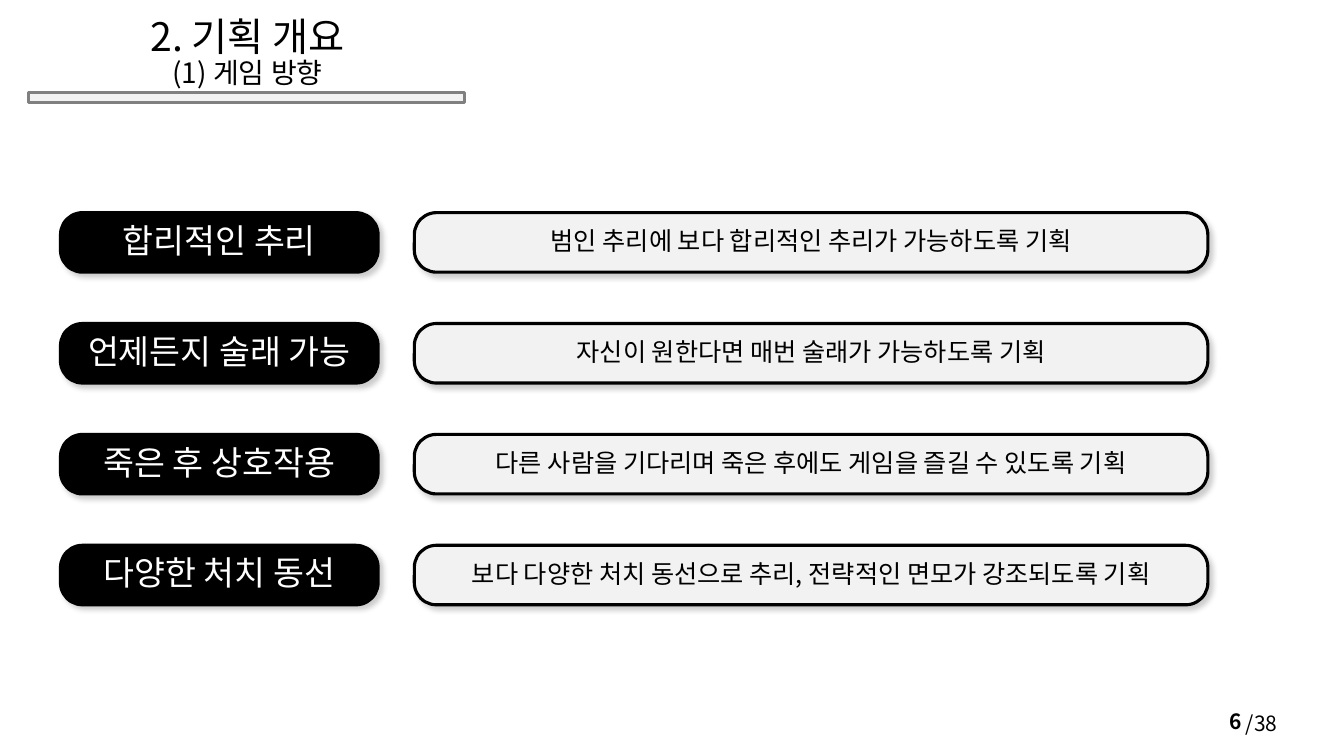
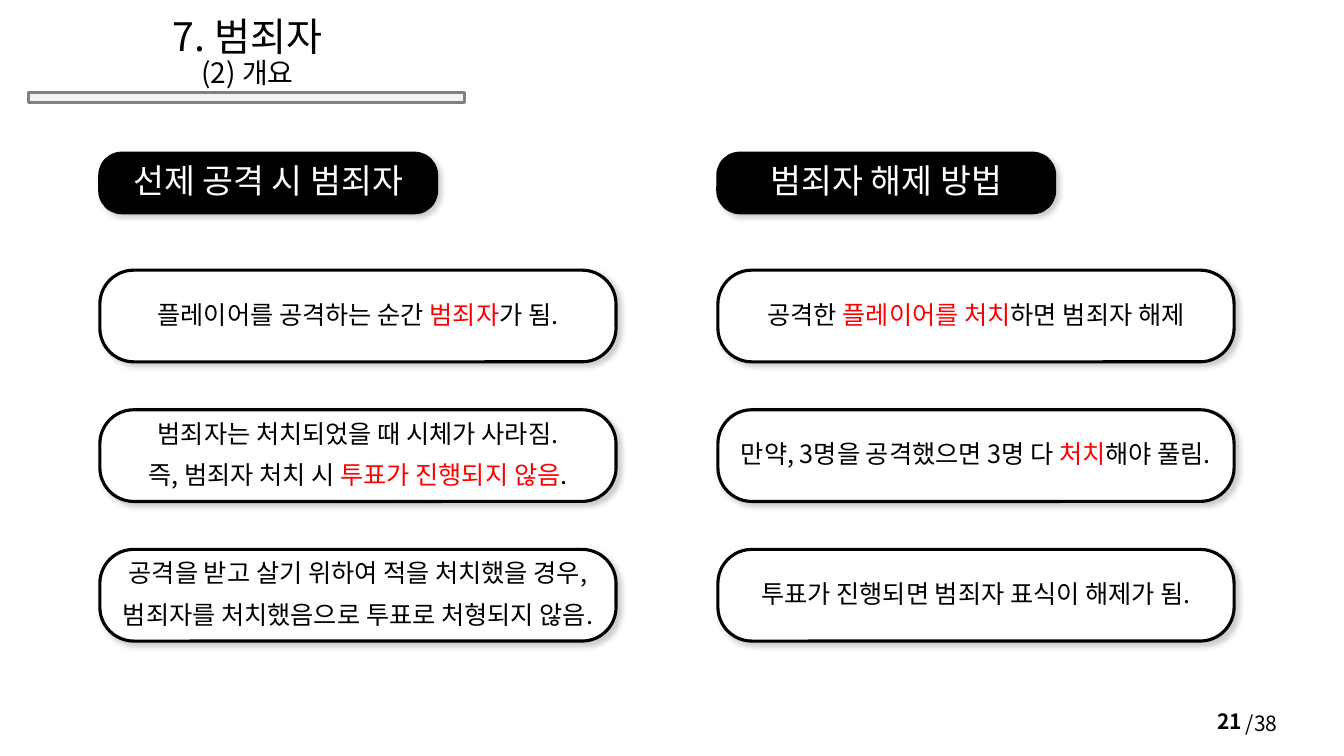
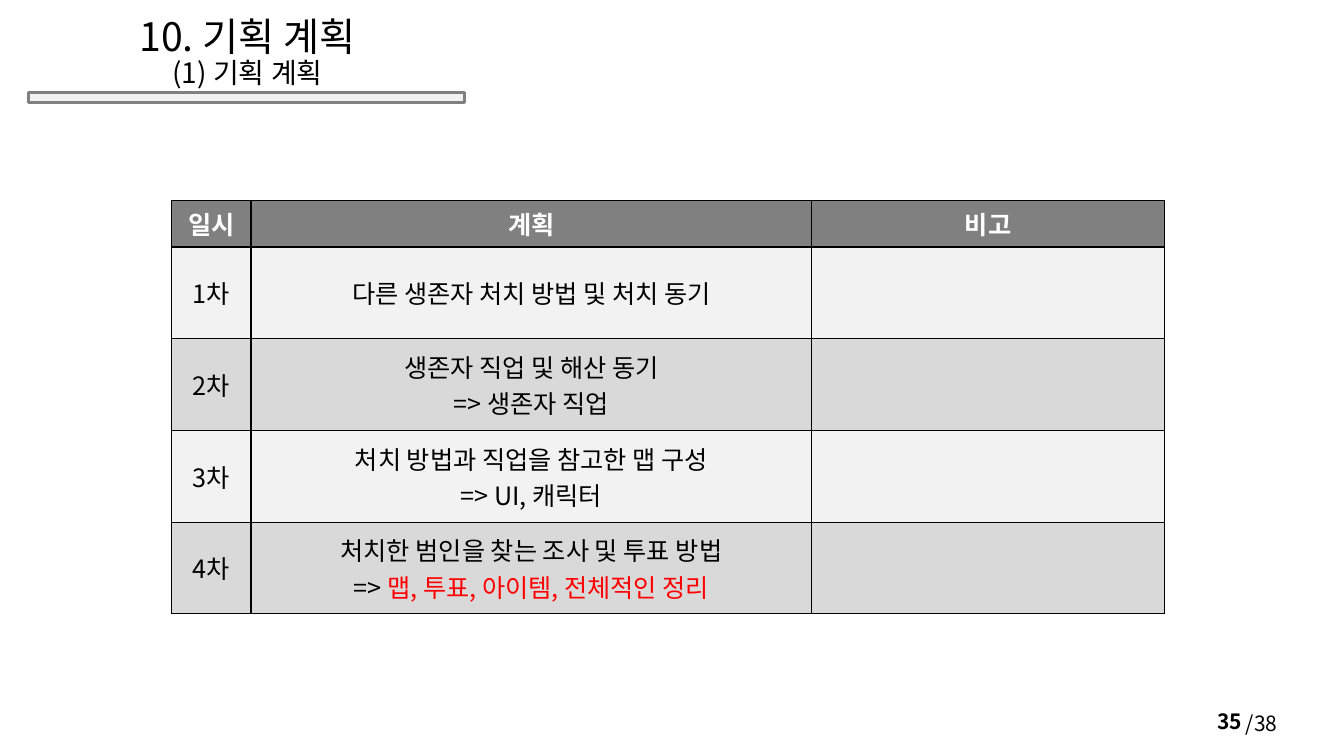
from lxml import etree
from pptx import Presentation
from pptx.dml.color import RGBColor
from pptx.enum.shapes import MSO_SHAPE
from pptx.enum.text import MSO_ANCHOR, PP_ALIGN
from pptx.oxml.ns import qn
from pptx.util import Inches, Pt

RECT, ROUND = MSO_SHAPE.RECTANGLE, MSO_SHAPE.ROUNDED_RECTANGLE
LEFT, CENTER, RIGHT = PP_ALIGN.LEFT, PP_ALIGN.CENTER, PP_ALIGN.RIGHT
TOP, MIDDLE, BOTTOM = MSO_ANCHOR.TOP, MSO_ANCHOR.MIDDLE, MSO_ANCHOR.BOTTOM

FONT = "Noto Sans CJK KR"
BLACK, WHITE, RED = "000000", "FFFFFF", "FF0000"
PALE, SILVER, GRAY = "F2F2F2", "D9D9D9", "808080"
PAGE_TOTAL = 38
LABEL_H = 0.59


def rgb(value):
    return RGBColor.from_string(value)


def write(tf, lines, sizes=(18,), color=BLACK, bold=False, align=CENTER,
          spacing=None, before=0):
    """Lines hold plain text; parts between asterisks are red."""
    tf.word_wrap = True
    for i, line in enumerate(lines):
        p = tf.add_paragraph() if i else tf.paragraphs[0]
        p.alignment = align
        if spacing:
            p.line_spacing = spacing
        if i and before:
            p.space_before = Pt(before)
        for j, part in enumerate(line.split("*")):
            if not part:
                continue
            r = p.add_run()
            r.text = part
            r.font.size = Pt(sizes[min(i, len(sizes) - 1)])
            r.font.bold = bold
            r.font.color.rgb = rgb(RED if j % 2 else color)
            r.font.name = FONT
            etree.SubElement(r.font._element, qn("a:ea"), typeface=FONT)


def add_text(s, box, lines, anchor=TOP, **fmt):
    tf = s.shapes.add_textbox(*map(Inches, box)).text_frame
    tf.vertical_anchor = anchor
    write(tf, lines, **fmt)


def add_box(s, kind, box, fill, line):
    sp = s.shapes.add_shape(kind, *map(Inches, box))
    sp.shadow.inherit = False
    sp.fill.solid()
    sp.fill.fore_color.rgb = rgb(fill)
    sp.line.color.rgb = rgb(line)
    sp.line.width = Pt(2.25)
    return sp


def add_card(s, box, lines, fill=WHITE, **fmt):
    sp = add_box(s, ROUND, box, fill, BLACK)
    sp.adjustments[0] = 0.37
    effects = sp._element.spPr.find(qn("a:effectLst"))
    shadow = etree.SubElement(effects, qn("a:outerShdw"), blurRad=str(Pt(4)),
                              dist=str(Pt(3)), dir="2700000", algn="tl", rotWithShape="0")
    tint = etree.SubElement(shadow, qn("a:srgbClr"), val=BLACK)
    etree.SubElement(tint, qn("a:alpha"), val="20000")
    sp.text_frame.vertical_anchor = MIDDLE
    write(sp.text_frame, lines, spacing=0.9, before=10, **fmt)


def add_label(s, box, text):
    add_card(s, box, [text], fill=BLACK, sizes=(24,), color=WHITE)


def new_slide(prs, title, subtitle, page):
    s = prs.slides.add_slide(prs.slide_layouts[6])
    add_text(s, (12.26, 7, 0.74, 0.35), [f"/{PAGE_TOTAL}"], sizes=(15,), align=LEFT)
    add_box(s, RECT, (0.28, 0.92, 4.33, 0.1), PALE, GRAY)
    add_text(s, (0.38, 0.29, 4.15, 0.65), [title, subtitle], anchor=BOTTOM,
             sizes=(28, 20), spacing=0.9)
    add_text(s, (9.42, 6.95, 3, 0.4), [str(page)], anchor=MIDDLE,
             sizes=(15,), bold=True, align=RIGHT)
    return s


def add_goals(s, box, goals):
    left, top, width, height = box
    label_w, gap = 3.15, 0.36
    pitch = (height - LABEL_H) / (len(goals) - 1)
    for i, (label, text) in enumerate(goals):
        y = top + i * pitch
        add_label(s, (left, y, label_w, LABEL_H), label)
        add_card(s, (left + label_w + gap, y, width - label_w - gap, LABEL_H),
                 [text], fill=PALE)


def add_rules(s, box, heading, rules):
    left, top, width, height = box
    first, card_h = 1.16, 0.91
    pitch = (height - first - card_h) / (len(rules) - 1)
    add_label(s, (left, top, 3.34, LABEL_H), heading)
    for i, lines in enumerate(rules):
        add_card(s, (left, top + first + i * pitch, width, card_h), lines)


def add_borders(cell):
    tcPr = cell._tc.get_or_add_tcPr()
    for i, side in enumerate(("lnL", "lnR", "lnT", "lnB")):
        ln = etree.Element(qn(f"a:{side}"), w=str(Pt(1)))
        fill = etree.SubElement(ln, qn("a:solidFill"))
        etree.SubElement(fill, qn("a:srgbClr"), val=BLACK)
        tcPr.insert(i, ln)


def add_plan(s, box, widths, heights, rows):
    table = s.shapes.add_table(len(rows), len(widths), *map(Inches, box)).table
    table.first_row = table.horz_banding = False
    for column, width in zip(table.columns, widths):
        column.width = Inches(width)
    for i, (row, height) in enumerate(zip(rows, heights)):
        table.rows[i].height = Inches(height)
        header = i == 0
        fill = GRAY if header else PALE if i % 2 else SILVER
        for j, lines in enumerate(row):
            cell = table.cell(i, j)
            cell.fill.solid()
            cell.fill.fore_color.rgb = rgb(fill)
            cell.vertical_anchor = MIDDLE
            add_borders(cell)
            write(cell.text_frame, lines, color=WHITE if header else BLACK, bold=header)


def main():
    prs = Presentation()
    prs.slide_width, prs.slide_height = Inches(13.33), Inches(7.5)

    s = new_slide(prs, "2. 기획 개요", "(1) 게임 방향", 6)
    add_goals(s, (0.6, 2.11, 11.38, 3.89), [
        ("합리적인 추리", "범인 추리에 보다 합리적인 추리가 가능하도록 기획"),
        ("언제든지 술래 가능", "자신이 원한다면 매번 술래가 가능하도록 기획"),
        ("죽은 후 상호작용", "다른 사람을 기다리며 죽은 후에도 게임을 즐길 수 있도록 기획"),
        ("다양한 처치 동선", "보다 다양한 처치 동선으로 추리, 전략적인 면모가 강조되도록 기획"),
    ])

    s = new_slide(prs, "7. 범죄자", "(2) 개요", 21)
    add_rules(s, (0.99, 1.52, 5.12, 4.84), "선제 공격 시 범죄자", [
        ["플레이어를 공격하는 순간 *범죄자*가 됨."],
        ["범죄자는 처치되었을 때 시체가 사라짐.",
         "즉, 범죄자 처치 시 *투표가 진행되지 않음*."],
        ["공격을 받고 살기 위하여 적을 처치했을 경우,",
         "범죄자를 처치했음으로 투표로 처형되지 않음."],
    ])
    add_rules(s, (7.12, 1.52, 5.12, 4.84), "범죄자 해제 방법", [
        ["공격한 *플레이어를 처치*하면 범죄자 해제"],
        ["만약, 3명을 공격했으면 3명 다 *처치*해야 풀림."],
        ["투표가 진행되면 범죄자 표식이 해제가 됨."],
    ])

    s = new_slide(prs, "10. 기획 계획", "(1) 기획 계획", 35)
    add_plan(s, (1.7, 1.99, 9.85, 4.1), (0.79, 5.56, 3.5), [0.46] + [0.91] * 4, [
        (["일시"], ["계획"], ["비고"]),
        (["1차"], ["다른 생존자 처치 방법 및 처치 동기"], []),
        (["2차"], ["생존자 직업 및 해산 동기", "=> 생존자 직업"], []),
        (["3차"], ["처치 방법과 직업을 참고한 맵 구성", "=> UI, 캐릭터"], []),
        (["4차"], ["처치한 범인을 찾는 조사 및 투표 방법",
                  "=> *맵, 투표, 아이템, 전체적인 정리*"], []),
    ])

    prs.save("out.pptx")


if __name__ == "__main__":
    main()
